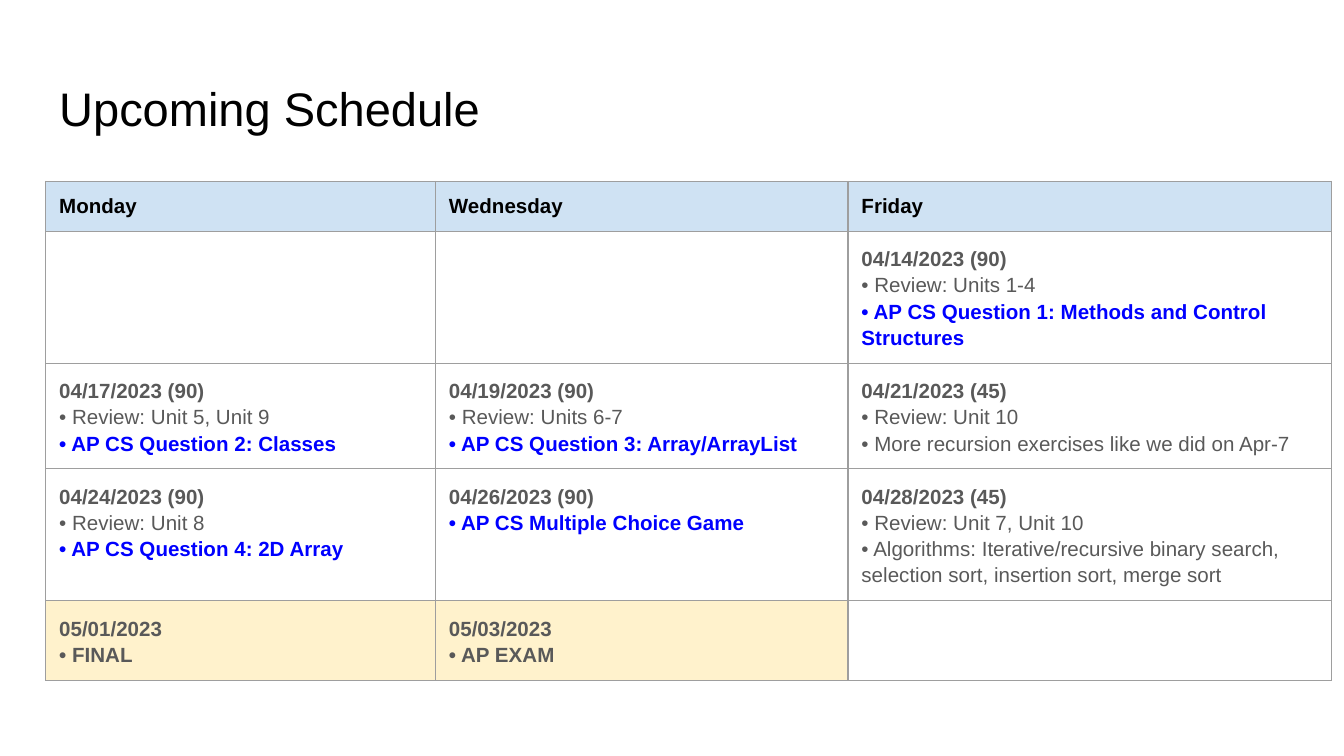
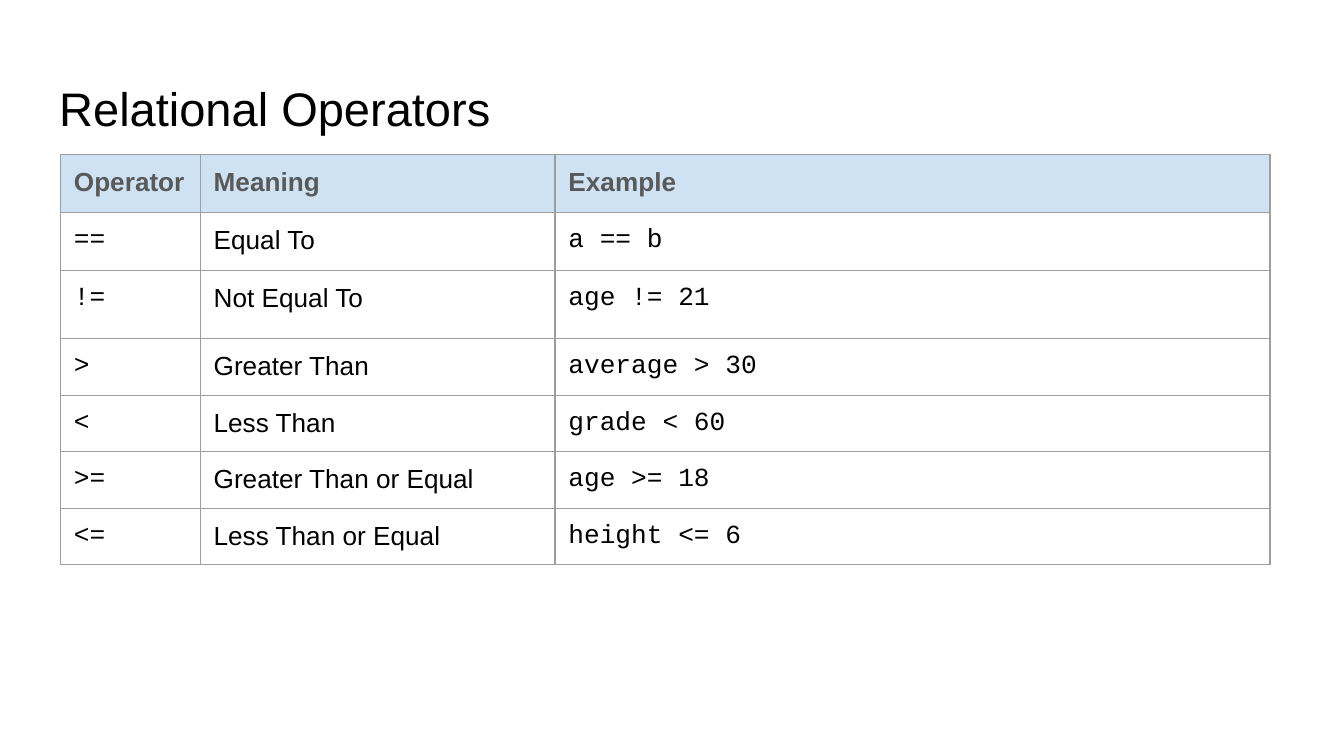
from dataclasses import dataclass
from typing import Callable

from lxml import etree
from pptx import Presentation
from pptx.dml import color as dml
from pptx.enum import text
from pptx.oxml import ns
from pptx.util import Inches, Pt

# Shared style
BLACK, GREY, BLUE = "000000", "595959", "0000FF"
HEADER_FILL, EXAM_FILL, BORDER = "CFE2F3", "FFF2CC", "9E9E9E"
SANS, MONO = "Arial", "Courier New"
INSET = Inches(0.1)


@dataclass(frozen=True)
class Style:
    size: float
    color: str = BLACK
    bold: bool = False
    font: str = SANS


@dataclass(frozen=True)
class Grid:
    title: str
    left: float
    top: float
    widths: list[float]
    heights: list[float]  # least heights: rows grow with their text
    header: Style
    rows: list[list[str]]
    # Style of a body line, from its column, line number and text
    line_style: Callable[[int, int, str], Style]
    line_spacing: float = 1.0
    space_after: float = 0
    highlights: tuple[tuple[int, int], ...] = ()


def rgb(value: str) -> dml.RGBColor:
    return dml.RGBColor.from_string(value)


def format_font(font, style: Style) -> None:
    font.name, font.size, font.bold = style.font, Pt(style.size), style.bold
    font.color.rgb = rgb(style.color)


def set_insets(box) -> None:
    box.margin_left = box.margin_right = INSET
    box.margin_top = box.margin_bottom = INSET


def add_borders(cell) -> None:
    tc_pr = cell._tc.get_or_add_tcPr()
    for side in ("lnL", "lnR", "lnT", "lnB"):
        ln = etree.SubElement(tc_pr, ns.qn(f"a:{side}"), w=str(Pt(0.75)))
        fill = etree.SubElement(ln, ns.qn("a:solidFill"))
        etree.SubElement(fill, ns.qn("a:srgbClr"), val=BORDER)


def fill_cell(cell, color: str | None) -> None:
    if color:
        cell.fill.solid()
        cell.fill.fore_color.rgb = rgb(color)
    else:
        cell.fill.background()


def write_cell(cell, words: str, grid: Grid, row: int, col: int) -> None:
    p = cell.text_frame.paragraphs[0]
    p.text = words.replace("\n", "\v")
    if row:
        p.line_spacing = grid.line_spacing
        p.space_after = Pt(grid.space_after)
    for i, r in enumerate(p.runs):
        style = grid.line_style(col, i, r.text) if row else grid.header
        format_font(r.font, style)
    # Line breaks take the text size, so they do not stretch the lines
    for br in p._p.findall(ns.qn("a:br")):
        etree.SubElement(br, ns.qn("a:rPr"), sz=str(int(style.size * 100)))


def add_title(slide, words: str) -> None:
    title = slide.shapes.title
    title.left, title.top = Inches(0.34), Inches(0.49)
    title.width, title.height = Inches(9.32), Inches(0.63)
    tf = title.text_frame
    tf.text = words
    tf.word_wrap = True
    tf.auto_size = text.MSO_AUTO_SIZE.NONE
    tf.vertical_anchor = text.MSO_ANCHOR.MIDDLE
    set_insets(tf)
    p = tf.paragraphs[0]
    p.alignment = text.PP_ALIGN.LEFT
    format_font(p.runs[0].font, Style(25.2))


def add_grid_slide(prs, grid: Grid) -> None:
    slide = prs.slides.add_slide(prs.slide_layouts[5])
    add_title(slide, grid.title)
    table = slide.shapes.add_table(
        len(grid.heights), len(grid.widths), Inches(grid.left), Inches(grid.top),
        Inches(sum(grid.widths)), Inches(sum(grid.heights))).table
    table.first_row = table.horz_banding = False
    for column, width in zip(table.columns, grid.widths):
        column.width = Inches(width)
    for table_row, height in zip(table.rows, grid.heights):
        table_row.height = Inches(height)
    for row, texts in enumerate(grid.rows):
        for col, words in enumerate(texts):
            cell = table.cell(row, col)
            set_insets(cell)
            add_borders(cell)
            exam = EXAM_FILL if (row, col) in grid.highlights else None
            fill_cell(cell, exam if row else HEADER_FILL)
            if words:
                write_cell(cell, words, grid, row, col)


# Upcoming schedule: bold dates, blue AP tasks, plain notes
def schedule_style(col: int, line: int, words: str) -> Style:
    if words.startswith("• AP CS"):
        return Style(11, BLUE, True)
    return Style(11, GREY, line == 0 or words in ("• FINAL", "• AP EXAM"))


SCHEDULE = Grid(
    title="Upcoming Schedule", left=0.34, top=1.35,
    widths=[2.9, 3.07, 3.6], heights=[0.33, 0.84, 0.67, 0.66, 0.58],
    header=Style(11, BLACK, True),
    rows=[
        ["Monday", "Wednesday", "Friday"],
        ["", "",
         "04/14/2023 (90)\n• Review: Units 1-4\n"
         "• AP CS Question 1: Methods and Control Structures"],
        ["04/17/2023 (90)\n• Review: Unit 5, Unit 9\n• AP CS Question 2: Classes",
         "04/19/2023 (90)\n• Review: Units 6-7\n• AP CS Question 3: Array/ArrayList",
         "04/21/2023 (45)\n• Review: Unit 10\n"
         "• More recursion exercises like we did on Apr-7"],
        ["04/24/2023 (90)\n• Review: Unit 8\n• AP CS Question 4: 2D Array",
         "04/26/2023 (90)\n• AP CS Multiple Choice Game",
         "04/28/2023 (45)\n• Review: Unit 7, Unit 10\n"
         "• Algorithms: Iterative/recursive binary search, "
         "selection sort, insertion sort, merge sort"],
        ["05/01/2023\n• FINAL", "05/03/2023\n• AP EXAM", ""],
    ],
    line_style=schedule_style, line_spacing=1.15, space_after=12,
    highlights=((4, 0), (4, 1)))


# Relational operators: code in the outer columns
def operator_style(col: int, line: int, words: str) -> Style:
    return Style(14, font=SANS if col == 1 else MONO)


OPERATORS = Grid(
    title="Relational Operators", left=0.45, top=1.15,
    widths=[1.04, 2.64, 5.32],
    heights=[0.43, 0.43, 0.51, 0.23, 0.17, 0.12, 0.2],
    header=Style(14, GREY, True),
    rows=[
        ["Operator", "Meaning", "Example"],
        ["==", "Equal To", "a == b"],
        ["!=", "Not Equal To", "age != 21"],
        [">", "Greater Than", "average > 30"],
        ["<", "Less Than", "grade < 60"],
        [">=", "Greater Than or Equal", "age >= 18"],
        ["<=", "Less Than or Equal", "height <= 6"],
    ],
    line_style=operator_style)


def main() -> None:
    prs = Presentation()
    # Widescreen, 16:9
    prs.slide_width = Inches(10)
    prs.slide_height = prs.slide_width * 9 // 16
    for grid in (SCHEDULE, OPERATORS):
        add_grid_slide(prs, grid)
    prs.save("out.pptx")


if __name__ == "__main__":
    main()
